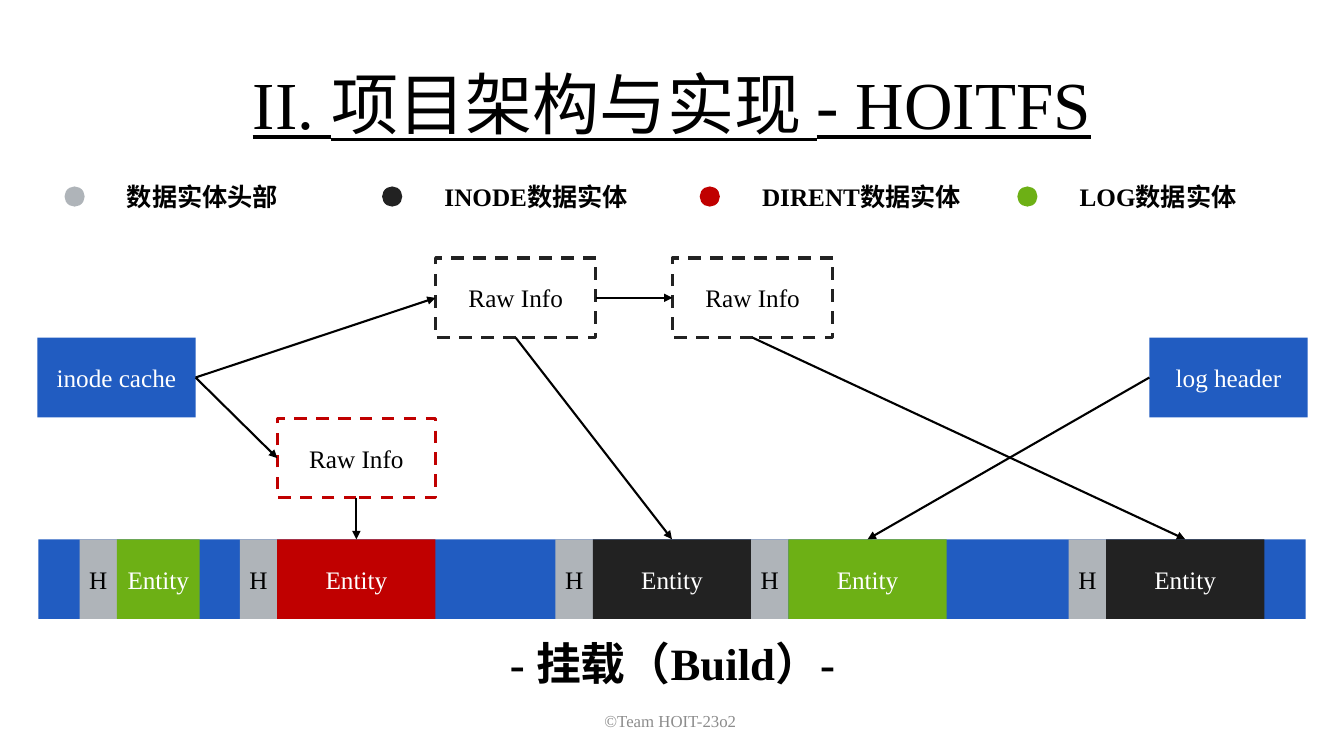
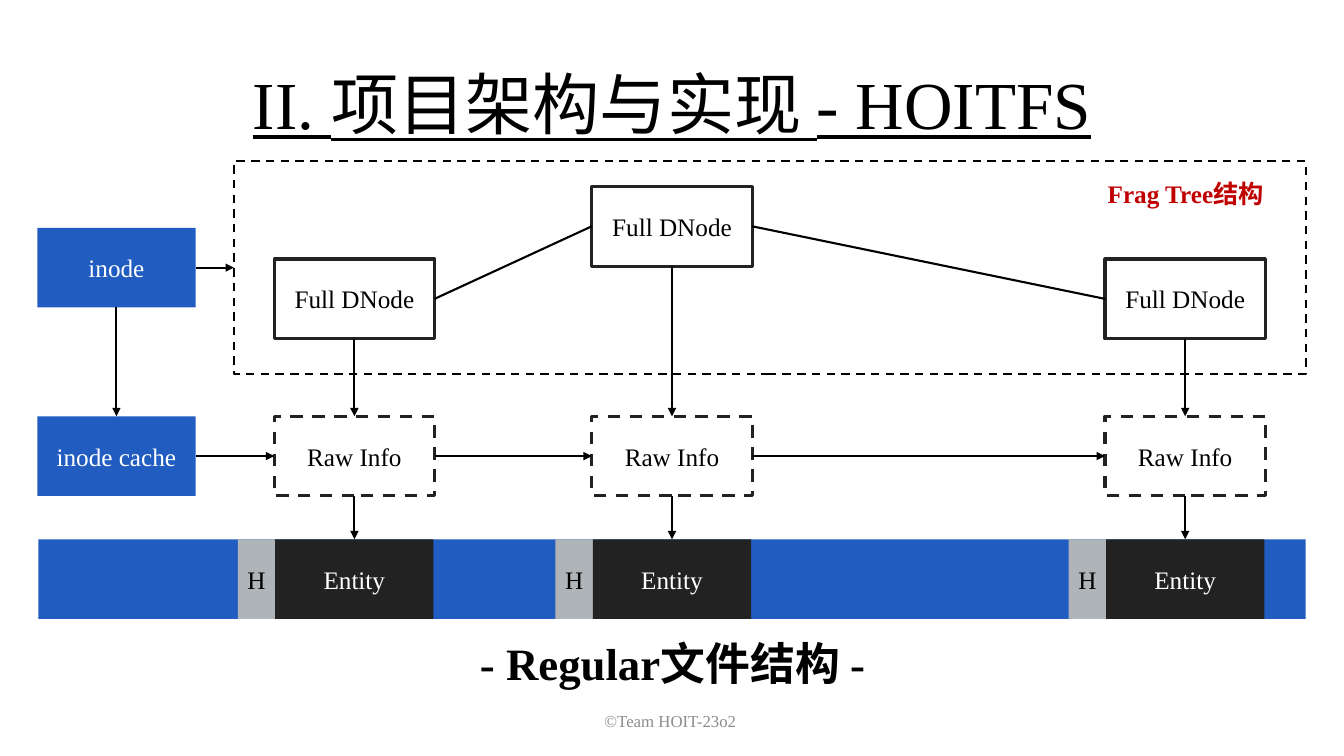
from pptx import Presentation
from pptx.dml.color import RGBColor
from pptx.enum.dml import MSO_LINE
from pptx.enum.lang import MSO_LANGUAGE_ID
from pptx.enum.shapes import MSO_CONNECTOR, MSO_SHAPE
from pptx.enum.text import MSO_ANCHOR, MSO_AUTO_SIZE, PP_ALIGN
from pptx.oxml.ns import qn
from pptx.util import Emu, Pt
from lxml import etree

EMU_PER_PX = 9144  # 100 px to the inch
FONT = "Times New Roman"

BLACK = RGBColor(0x00, 0x00, 0x00)
WHITE = RGBColor(0xFF, 0xFF, 0xFF)
BLUE = RGBColor(0x21, 0x5C, 0xC1)
RED = RGBColor(0xC0, 0x00, 0x00)
GREEN = RGBColor(0x6D, 0xB0, 0x15)
DARK = RGBColor(0x22, 0x22, 0x22)
SILVER = RGBColor(0xAF, 0xB4, 0xB9)
FOOTER_GRAY = RGBColor(0x8C, 0x8C, 0x8C)

RECTANGLE, OVAL = MSO_SHAPE.RECTANGLE, MSO_SHAPE.OVAL
STRAIGHT = MSO_CONNECTOR.STRAIGHT
DASH = MSO_LINE.DASH
LEFT_ALIGN, CENTER = PP_ALIGN.LEFT, PP_ALIGN.CENTER
MIDDLE = MSO_ANCHOR.MIDDLE
GROW = MSO_AUTO_SIZE.SHAPE_TO_FIT_TEXT
CHINESE = MSO_LANGUAGE_ID.SIMPLIFIED_CHINESE

# Connection sites of a rectangle
TOP, LEFT, BOTTOM, RIGHT = range(4)

BLOCK_WIDTH, BLOCK_HEIGHT = 157, 79
NODE_WIDTH = 159
HEADER_WIDTH = 37
STRIP_TOP = 535


def px(*lengths):
    return [Emu(length * EMU_PER_PX) for length in lengths]


def write(text_frame, text, color, size=18, bold=False, underline=False, align=CENTER):
    paragraph = text_frame.paragraphs[0]
    paragraph.alignment = align
    run = paragraph.add_run()
    run.text = text
    font = run.font
    font.name, font.size, font.bold = FONT, Pt(size), bold
    font.underline = underline
    font.color.rgb = color
    font.language_id = CHINESE


def add_label(slide, x, y, width, height, text, color, **style):
    shape = slide.shapes.add_textbox(*px(x, y, width, height))
    shape.text_frame.word_wrap = True
    shape.text_frame.auto_size = GROW
    write(shape.text_frame, text, color, **style)


def add_filled(slide, x, y, width, height, fill, text="", color=WHITE, kind=RECTANGLE):
    shape = slide.shapes.add_shape(kind, *px(x, y, width, height))
    shape.shadow.inherit = False
    shape.fill.solid()
    shape.fill.fore_color.rgb = fill
    shape.line.fill.background()
    if text:
        frame = shape.text_frame
        frame.margin_left = frame.margin_right = 0
        frame.vertical_anchor = MIDDLE
        write(frame, text, color)
    return shape


def add_outlined(slide, x, y, width, height, line, text="", weight=2.25, dashed=True):
    shape = slide.shapes.add_shape(RECTANGLE, *px(x, y, width, height))
    shape.shadow.inherit = False
    shape.fill.background()
    shape.line.color.rgb = line
    shape.line.width = Pt(weight)
    if dashed:
        shape.line.dash_style = DASH
    if text:
        shape.text_frame.vertical_anchor = MIDDLE
        write(shape.text_frame, text, BLACK)
    return shape


def add_block(slide, x, y, text):
    return add_filled(slide, x, y, BLOCK_WIDTH, BLOCK_HEIGHT, BLUE, text)


def add_raw_info(slide, x, y, line=DARK, width=NODE_WIDTH):
    return add_outlined(slide, x, y, width, BLOCK_HEIGHT, line, "Raw Info")


def connect(slide, start, start_site, end, end_site, arrow=True):
    """Glue a line from one shape's site to another's."""
    connector = slide.shapes.add_connector(STRAIGHT, 0, 0, 0, 0)
    connector.begin_connect(start, start_site)
    connector.end_connect(end, end_site)
    connector.line.color.rgb = BLACK
    connector.line.width = Pt(1.5)
    if arrow:
        line = connector.line._get_or_add_ln()
        etree.SubElement(line, qn("a:tailEnd"), type="triangle")
    etree.SubElement(connector._element.spPr, qn("a:effectLst"))


def add_strip(slide, entities):
    """Draw the storage strip; entities are (left, width, fill). Return their shapes."""
    add_filled(slide, 38, STRIP_TOP, 1257, BLOCK_HEIGHT, BLUE)
    shapes = []
    for left, width, fill in entities:
        add_filled(slide, left - HEADER_WIDTH, STRIP_TOP, HEADER_WIDTH, BLOCK_HEIGHT,
                   SILVER, "H", BLACK)
        shapes.append(add_filled(slide, left, STRIP_TOP, width, BLOCK_HEIGHT,
                                 fill, "Entity"))
    return shapes


def add_legend(slide, entries):
    for index, (color, text) in enumerate(entries):
        offset = 315 * index
        add_filled(slide, 64 + offset, 185, 20, 20, color, kind=OVAL)
        add_label(slide, 116 + offset, 175, 219, 40, text, BLACK,
                  bold=True, align=LEFT_ALIGN)


def add_base_slide(presentation, caption):
    slide = presentation.slides.add_slide(presentation.slide_layouts[6])
    add_label(slide, 442, 700, 450, 30, "©Team HOIT-23o2 ", FOOTER_GRAY, size=12)
    add_label(slide, 288, 626, 758, 64, caption, BLACK, size=32, bold=True)
    add_label(slide, 128, 57, 1077, 91, "II. 项目架构与实现 - HOITFS", BLACK,
              size=48, underline=True)
    return slide


def build_mount_slide(presentation):
    slide = add_base_slide(presentation, "- 挂载（Build）-")
    _, dirent, first_inode, log, second_inode = add_strip(slide, [
        (116, 82, GREEN),
        (275, BLOCK_WIDTH, RED),
        (588, BLOCK_WIDTH, DARK),
        (782, BLOCK_WIDTH, GREEN),
        (1097, BLOCK_WIDTH, DARK),
    ])
    add_legend(slide, [
        (SILVER, "数据实体头部"),
        (DARK, "INODE数据实体"),
        (RED, "DIRENT数据实体"),
        (GREEN, "LOG数据实体"),
    ])
    cache = add_block(slide, 37, 335, "inode cache")
    log_header = add_block(slide, 1140, 335, "log header")
    dirent_info = add_raw_info(slide, 275, 415, RED, BLOCK_WIDTH)
    first_info = add_raw_info(slide, 432, 256)
    second_info = add_raw_info(slide, 667, 256)

    connect(slide, dirent_info, BOTTOM, dirent, TOP)
    connect(slide, cache, RIGHT, dirent_info, LEFT)
    connect(slide, cache, RIGHT, first_info, LEFT)
    connect(slide, first_info, BOTTOM, first_inode, TOP)
    connect(slide, second_info, BOTTOM, second_inode, TOP)
    connect(slide, first_info, RIGHT, second_info, LEFT)
    connect(slide, log_header, LEFT, log, TOP)


def build_regular_file_slide(presentation):
    slide = add_base_slide(presentation, "- Regular文件结构 -")
    columns = [273, 588, 1097]
    entities = add_strip(slide, [(left, BLOCK_WIDTH, DARK) for left in columns])
    tree_frame = add_outlined(slide, 232, 160, 1063, 211, BLACK, weight=1.5)
    add_label(slide, 1084, 172, 184, 40, "Frag Tree结构", RED, bold=True)
    inode = add_block(slide, 37, 226, "inode")
    cache = add_block(slide, 37, 413, "inode cache")
    connect(slide, inode, BOTTOM, cache, TOP)
    connect(slide, inode, RIGHT, tree_frame, LEFT)

    nodes = []
    previous = cache
    for left, node_top, entity in zip(columns, [257, 185, 257], entities):
        node = add_outlined(slide, left - 1, node_top, NODE_WIDTH, BLOCK_HEIGHT,
                            DARK, "Full DNode", dashed=False)
        raw_info = add_raw_info(slide, left - 1, 413)
        connect(slide, node, BOTTOM, raw_info, TOP)
        connect(slide, raw_info, BOTTOM, entity, TOP)
        connect(slide, previous, RIGHT, raw_info, LEFT)
        nodes.append(node)
        previous = raw_info

    left_child, root, right_child = nodes
    connect(slide, root, LEFT, left_child, RIGHT, arrow=False)
    connect(slide, root, RIGHT, right_child, LEFT, arrow=False)


def main():
    presentation = Presentation()
    presentation.slide_width, presentation.slide_height = px(1333, 750)
    build_mount_slide(presentation)
    build_regular_file_slide(presentation)
    presentation.save("out.pptx")


if __name__ == "__main__":
    main()
